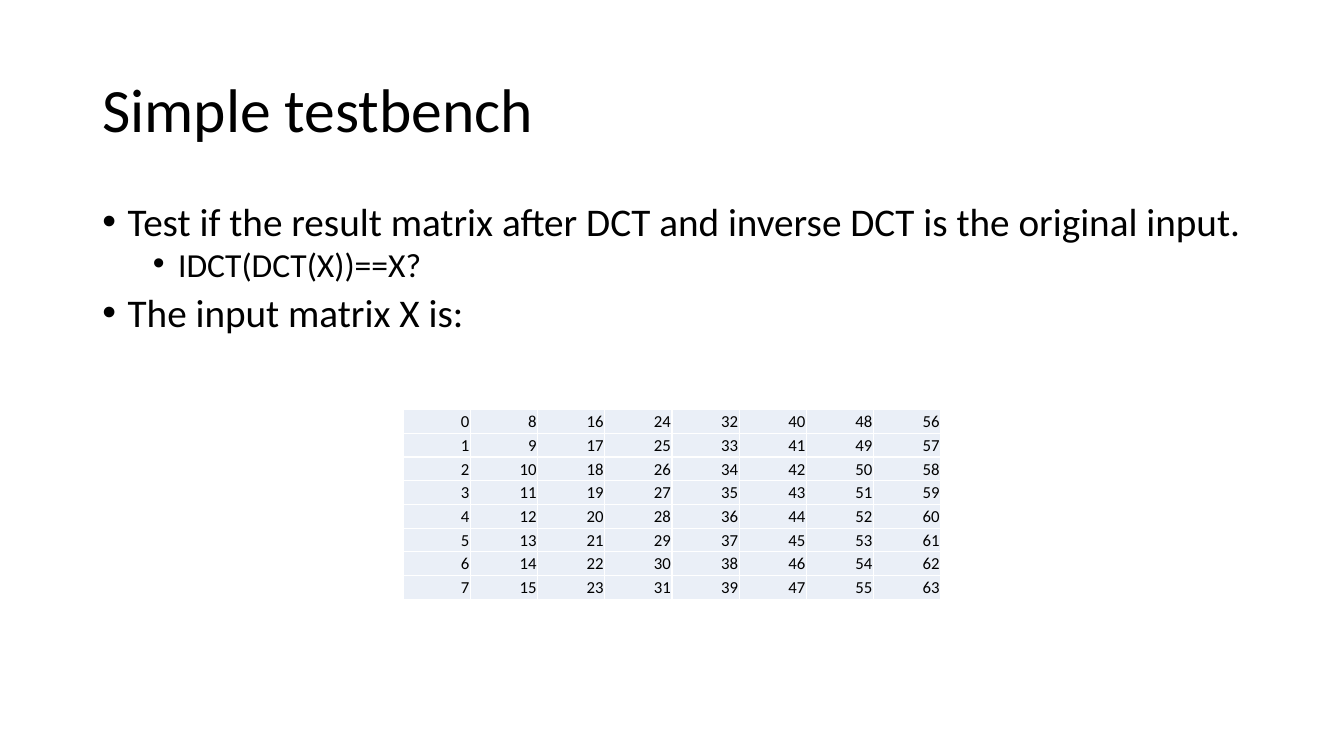
from lxml import etree
from pptx import Presentation
from pptx import util as u
from pptx.dml.color import RGBColor
from pptx.enum import text as t
from pptx.oxml import ns

PX = 9525  # EMU per px, 96 px to the inch
SIZE = 8


def color(value):
    return RGBColor.from_string(value)


def write(para, words, size=12, align=t.PP_ALIGN.LEFT, line=1.0, before=0):
    para.alignment = align
    para.line_spacing = line
    para.space_before = u.Pt(before)
    span = para.add_run()
    span.text = words
    span.font.name = "Calibri"
    span.font.size = u.Pt(size)
    span.font.color.rgb = color("000000")


deck = Presentation()
deck.slide_width, deck.slide_height = 1280 * PX, 720 * PX
page = deck.slides.add_slide(deck.slide_layouts[1])
title, body = page.placeholders

for box, top, anchor in [(title, 38, t.MSO_ANCHOR.MIDDLE), (body, 192, t.MSO_ANCHOR.TOP)]:
    box.left, box.top, box.width, box.height = 88 * PX, top * PX, 1104 * PX, 139 * PX
    box.text_frame.auto_size = t.MSO_AUTO_SIZE.NONE
    box.text_frame.word_wrap = True
    box.text_frame.vertical_anchor = anchor

write(title.text_frame.paragraphs[0], "Simple testbench", size=44, line=0.9)

# Bulleted list: level, size, space before, words
points = [
    (0, 28, 0, "Test if the result matrix after DCT and inverse DCT is the original input."),
    (1, 24, 5, "IDCT(DCT(X))==X?"),
    (0, 28, 10, "The input matrix X is:"),
]
for index, (level, size, before, words) in enumerate(points):
    para = body.text_frame.add_paragraph() if index else body.text_frame.paragraphs[0]
    para.level = level
    props = para._p.get_or_add_pPr()
    props.set("marL", str((24 + 48 * level) * PX))
    props.set("indent", str(-24 * PX))
    etree.SubElement(props, ns.qn("a:buFont"), typeface="Arial")
    etree.SubElement(props, ns.qn("a:buChar"), char="•")
    write(para, words, size=size, line=0.8, before=before)

# Input matrix, numbered down the columns
frame = page.shapes.add_table(SIZE, SIZE, 384 * PX, 390 * PX, 512 * PX, 181 * PX)
matrix = frame.table
matrix.first_row = matrix.horz_banding = False
for row in range(SIZE):
    for column in range(SIZE):
        cell = matrix.cell(row, column)
        cell.margin_left = cell.margin_right = cell.margin_top = PX
        cell.margin_bottom = 0
        cell.vertical_anchor = t.MSO_ANCHOR.MIDDLE
        write(cell.text_frame.paragraphs[0], str(column * SIZE + row), align=t.PP_ALIGN.RIGHT)
        props = cell._tc.get_or_add_tcPr()
        for side in ("a:lnL", "a:lnR", "a:lnT", "a:lnB"):
            border = etree.SubElement(props, ns.qn(side), w=str(u.Pt(1)))
            fill = etree.SubElement(border, ns.qn("a:solidFill"))
            etree.SubElement(fill, ns.qn("a:srgbClr"), val="FFFFFF")
        cell.fill.solid()
        cell.fill.fore_color.rgb = color("EAEFF7")

deck.save("out.pptx")
